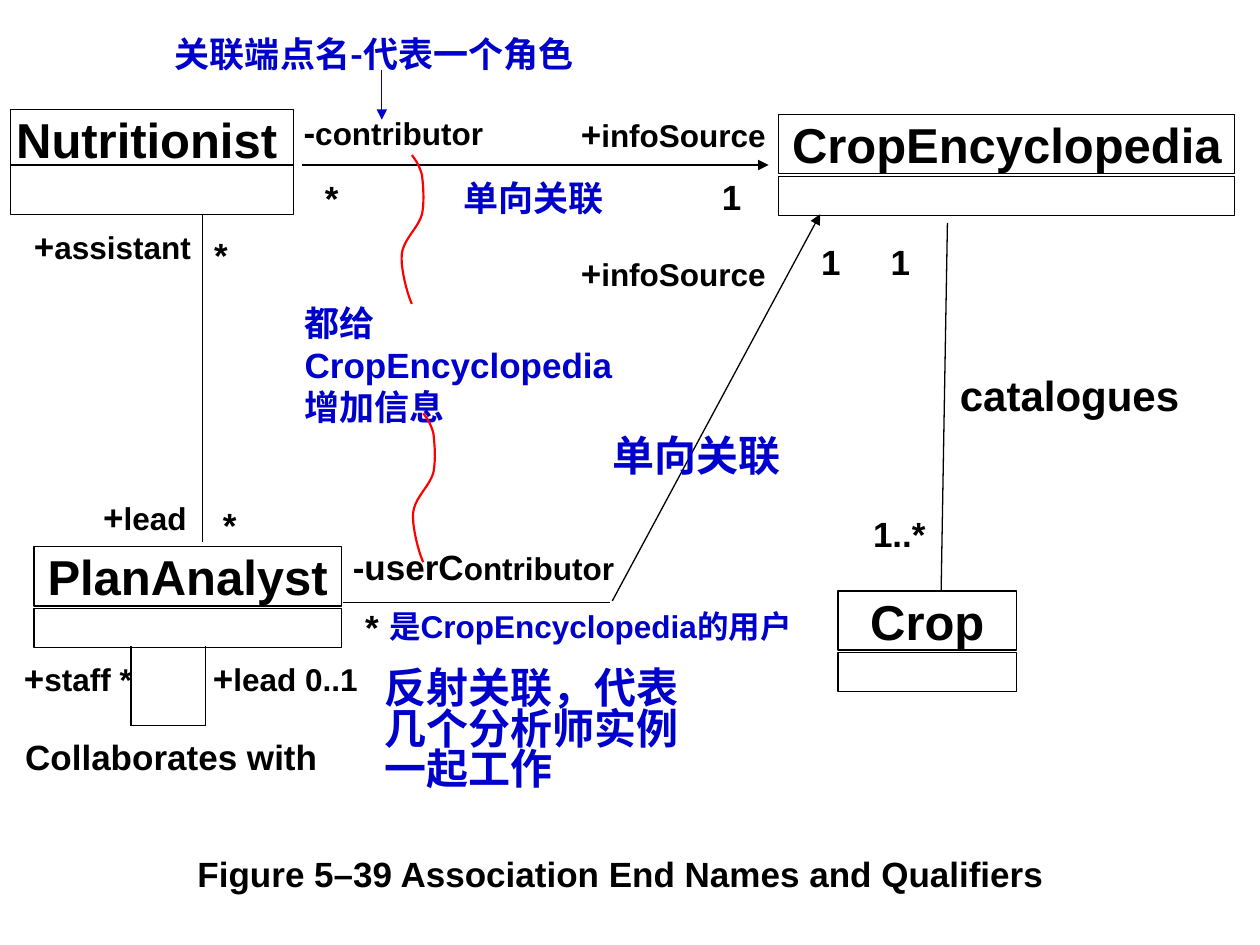
"""Build the class diagram of association end names and qualifiers."""
from dataclasses import dataclass

from lxml import etree
from pptx import Presentation
from pptx.dml.color import RGBColor
from pptx.enum.shapes import MSO_CONNECTOR, MSO_SHAPE
from pptx.enum.text import MSO_ANCHOR, MSO_AUTO_SIZE, PP_ALIGN
from pptx.oxml.ns import qn
from pptx.util import Pt

RECTANGLE = MSO_SHAPE.RECTANGLE
STRAIGHT = MSO_CONNECTOR.STRAIGHT
MIDDLE = MSO_ANCHOR.MIDDLE
GROW = MSO_AUTO_SIZE.SHAPE_TO_FIT_TEXT
CENTER = PP_ALIGN.CENTER

COLORS = {"ink": "000000", "note": "0000CC", "squiggle": "FF0000", "paper": "FFFFFF"}
LATIN, CHINESE = "Arial", "Noto Sans CJK SC"
PADDED, TIGHT = (7.2, 3.6), (0, 0)


@dataclass
class ClassBox:
    name: str
    x: float
    y: float
    width: float
    body_offset: float = 35.3
    body_height: float = 22.3
    insets: tuple[float, float] = (7.2, 7.2)


@dataclass
class Association:
    start: tuple[float, float]
    end: tuple[float, float]
    arrow: bool = False
    color: str = "ink"


@dataclass
class Part:
    text: str
    size: float = 20
    font: str = LATIN


@dataclass
class Label:
    x: float
    y: float
    width: float
    height: float
    paragraphs: list[list[Part]]
    color: str = "ink"
    insets: tuple[float, float] = TIGHT
    spacing: float | None = None
    wrap: bool = True


def end_name(x: float, y: float, width: float, sign: str, name: str) -> Label:
    return Label(x, y, width, 23.8, [[Part(sign), Part(name, 18)]])


def multiplicity(x: float, y: float, text: str, width: float = 28.1) -> Label:
    return Label(x, y, width, 31.7, [[Part(text)]], insets=PADDED)


def note(x: float, y: float, width: float, height: float,
         *paragraphs: list[Part], spacing: float | None = None) -> Label:
    return Label(x, y, width, height, list(paragraphs), "note", PADDED, spacing)


CLASSES = [
    ClassBox("Nutritionist", 5.8, 62.6, 162, 31.7, 28.1, (1.4, 7.4)),
    ClassBox("Crop", 478.8, 337.7, 102.2),
    ClassBox("PlanAnalyst", 19.4, 312.5, 175.7),
    ClassBox("CropEncyclopedia", 445, 65.5, 260.6),
]

LOOP_LEFT, LOOP_RIGHT, LOOP_TOP, LOOP_BOTTOM = 74.9, 117.4, 369.4, 414.7
ASSOCIATIONS = [
    Association((115.9, 122.4), (115.9, 309.6)),
    Association((172.8, 94.3), (439.2, 94.3), arrow=True),
    Association((541.4, 127.4), (537.8, 337.7)),
    Association((195.8, 344.2), (348.5, 344.2)),
    Association((349.9, 343.4), (468.7, 122.4), arrow=True),
    Association((LOOP_LEFT, LOOP_TOP), (LOOP_LEFT, LOOP_BOTTOM)),
    Association((LOOP_LEFT, LOOP_BOTTOM), (LOOP_RIGHT, LOOP_BOTTOM)),
    Association((LOOP_RIGHT, LOOP_BOTTOM), (LOOP_RIGHT, LOOP_TOP)),
    Association((218.2, 40.3), (218.2, 68.4), arrow=True, color="note"),
]

LABELS = [
    Label(541.4, 207.4, 147.6, 36, [[Part("catalogues", 24)]], insets=PADDED),
    multiplicity(501.8, 133.9, "1"),
    multiplicity(462.2, 133.9, "1"),
    multiplicity(405.4, 96.5, "1"),
    multiplicity(178.6, 97.2, "*"),
    multiplicity(201.6, 342.7, "*"),
    multiplicity(491.8, 289.4, "1..*", 67),
    Label(122.4, 133.2, 16.6, 23.8, [[Part("*")]]),
    Label(127.4, 288, 18, 23.8, [[Part("*")]]),
    end_name(173.5, 63.4, 113, "-", "contributor"),
    end_name(331.9, 64.1, 113, "+", "infoSource"),
    end_name(331.9, 144, 113, "+", "infoSource"),
    end_name(19.4, 128.2, 96.5, "+", "assistant"),
    end_name(59, 283, 56.9, "+", "lead"),
    end_name(201.6, 311.8, 158.4, "-userC", "ontributor"),
    end_name(121.7, 375.1, 90.7, "+", "lead 0..1"),
    end_name(13.7, 375.1, 68.4, "+", "staff *"),
    Label(14.4, 420.5, 169.9, 23.8, [[Part("Collaborates with")]]),
    Label(105.8, 483.8, 499, 31.7,
          [[Part("Figure 5–39 Association End Names and Qualifiers")]],
          insets=PADDED, wrap=False),
    note(167, 168.5, 193, 79.2,
         [Part("都给 ", font=CHINESE), Part("CropEncyclopedia")],
         [Part("增加信息", font=CHINESE)]),
    note(342.7, 241.9, 118.8, 36, [Part("单向关联", 24, CHINESE)]),
    note(257.8, 97.2, 118.8, 31.7, [Part("单向关联")]),
    note(92.9, 15.1, 254.9, 31.7, [Part("关联端点名-代表一个角色", font=CHINESE)]),
    note(212.4, 380.2, 204.5, 76.3,
         [Part("反射关联，代表几个分析师实例一起工作", 24, CHINESE)], spacing=0.8),
    note(215.3, 343.4, 260.6, 28.8, [Part("是CropEncyclopedia的用户", 18)]),
]

SQUIGGLE_STARTS = [(235.4, 88.6), (241.9, 236.2)]
SQUIGGLE_CURVES = [
    ((2.2, 2.9), (4.3, 5.8), (5.8, 11.5)),
    ((6.5, 17.3), (7.2, 26.6), (5.8, 33.8)),
    ((3.6, 41.8), (-5, 48.2), (-5.8, 56.9)),
    ((-6.5, 65.5), (-2.2, 80.6), (0, 85)),
]
CURVE_STEPS = 10


def rgb(color: str) -> RGBColor:
    return RGBColor.from_string(COLORS[color])


def style_run(run, size: float, font: str, color: str) -> None:
    run.font.size, run.font.name, run.font.bold = Pt(size), font, True
    run.font.color.rgb = rgb(color)
    east_asian = etree.SubElement(run.font._element, qn("a:ea"))
    east_asian.set("typeface", CHINESE)


def draw_compartment(slide, x: float, y: float, width: float, height: float):
    compartment = slide.shapes.add_shape(RECTANGLE, Pt(x), Pt(y), Pt(width), Pt(height))
    compartment.shadow.inherit = False
    compartment.fill.solid()
    compartment.fill.fore_color.rgb = rgb("paper")
    compartment.line.color.rgb = rgb("ink")
    compartment.line.width = Pt(0.75)
    return compartment


def draw_class(slide, box: ClassBox) -> None:
    frame = draw_compartment(slide, box.x, box.y, box.width, 33.8).text_frame
    frame.word_wrap, frame.vertical_anchor = False, MIDDLE
    frame.margin_left, frame.margin_right = (Pt(inset) for inset in box.insets)
    frame.margin_top = frame.margin_bottom = 0
    frame.text = box.name
    frame.paragraphs[0].alignment = CENTER
    style_run(frame.paragraphs[0].runs[0], 28, LATIN, "ink")
    draw_compartment(slide, box.x, box.y + box.body_offset, box.width, box.body_height)


def draw_association(slide, association: Association) -> None:
    ends = [Pt(value) for value in association.start + association.end]
    connector = slide.shapes.add_connector(STRAIGHT, *ends)
    connector.line.color.rgb = rgb(association.color)
    connector.line.width = Pt(0.75)
    if association.arrow:
        etree.SubElement(connector.line._get_or_add_ln(), qn("a:tailEnd"), type="triangle")
    etree.SubElement(connector._element.spPr, qn("a:effectLst"))


def draw_label(slide, label: Label) -> None:
    frame = slide.shapes.add_textbox(
        Pt(label.x), Pt(label.y), Pt(label.width), Pt(label.height)).text_frame
    frame.word_wrap, frame.auto_size = label.wrap, GROW
    frame.margin_left = frame.margin_right = Pt(label.insets[0])
    frame.margin_top = frame.margin_bottom = Pt(label.insets[1])
    for index, parts in enumerate(label.paragraphs):
        paragraph = frame.add_paragraph() if index else frame.paragraphs[0]
        paragraph.line_spacing = label.spacing
        paragraph.text = parts[0].text
        for part in parts[1:]:
            paragraph.add_run().text = part.text
        for run, part in zip(paragraph.runs, parts):
            style_run(run, part.size, part.font, label.color)


def squiggle_points(start: tuple[float, float]) -> list[tuple[int, int]]:
    points, anchor = [], (0, 0)
    for first, second, last in SQUIGGLE_CURVES:
        for step in range(1, CURVE_STEPS + 1):
            t = step / CURVE_STEPS
            weights = ((1 - t) ** 3, 3 * t * (1 - t) ** 2, 3 * t * t * (1 - t), t ** 3)
            offsets = [sum(w * p[axis] for w, p in zip(weights, (anchor, first, second, last)))
                       for axis in (0, 1)]
            points.append((Pt(start[0] + offsets[0]), Pt(start[1] + offsets[1])))
        anchor = last
    return points


def draw_squiggle(slide, start: tuple[float, float]) -> None:
    builder = slide.shapes.build_freeform(Pt(start[0]), Pt(start[1]))
    builder.add_line_segments(squiggle_points(start), close=False)
    squiggle = builder.convert_to_shape()
    squiggle.shadow.inherit = False
    squiggle.fill.background()
    squiggle.line.color.rgb = rgb("squiggle")
    squiggle.line.width = Pt(1.25)


def main() -> None:
    presentation = Presentation()
    presentation.slide_width, presentation.slide_height = Pt(720), Pt(540)
    slide = presentation.slides.add_slide(presentation.slide_layouts[6])
    for draw, items in ((draw_class, CLASSES), (draw_association, ASSOCIATIONS),
                        (draw_label, LABELS), (draw_squiggle, SQUIGGLE_STARTS)):
        for item in items:
            draw(slide, item)
    presentation.save("out.pptx")


if __name__ == "__main__":
    main()
